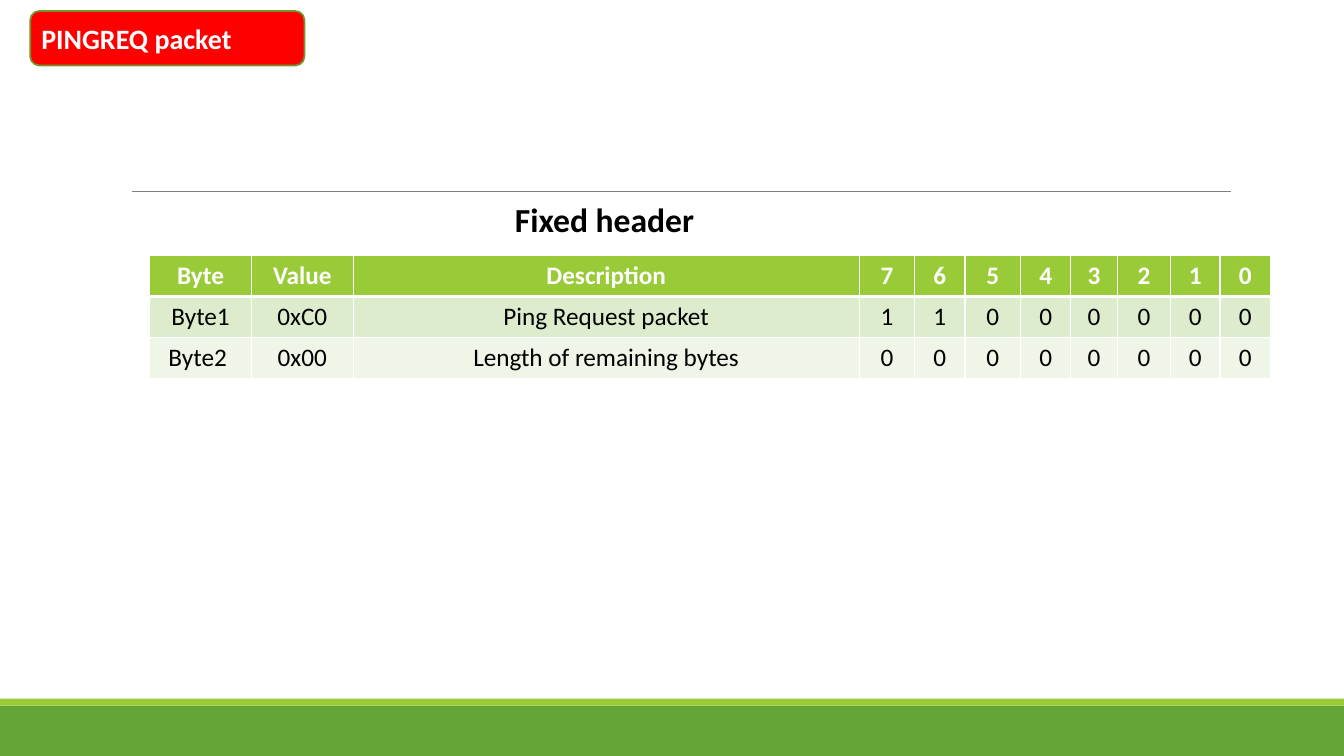
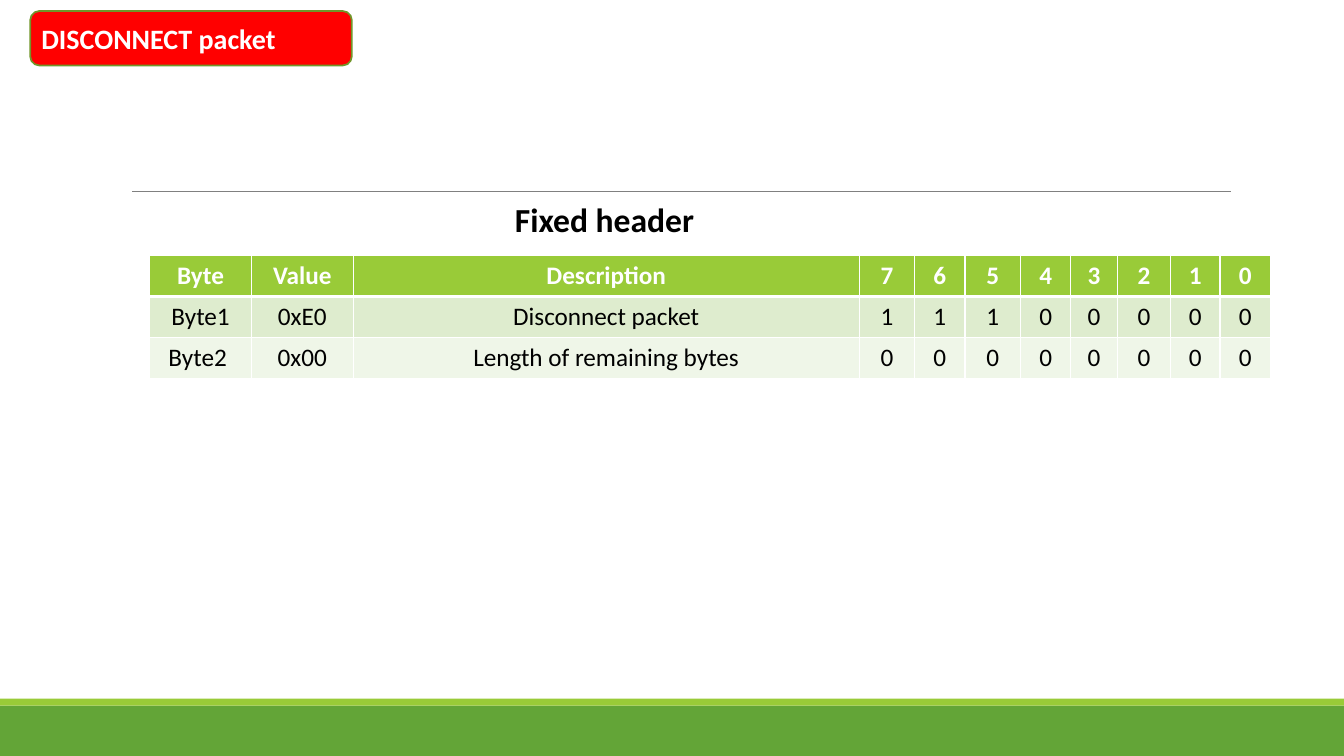
"""Build two slides that show the fixed headers of MQTT control packets."""
from dataclasses import dataclass

from lxml import etree
from pptx import Presentation
from pptx.dml.color import RGBColor
from pptx.enum.shapes import MSO_CONNECTOR, MSO_SHAPE
from pptx.enum.text import MSO_ANCHOR, MSO_AUTO_SIZE, PP_ALIGN
from pptx.oxml.ns import qn
from pptx.util import Pt

RECTANGLE = MSO_SHAPE.RECTANGLE
ROUNDED = MSO_SHAPE.ROUNDED_RECTANGLE
STRAIGHT = MSO_CONNECTOR.STRAIGHT
LEFT, CENTER = PP_ALIGN.LEFT, PP_ALIGN.CENTER
TOP = MSO_ANCHOR.TOP
NO_AUTOFIT = MSO_AUTO_SIZE.NONE
TITLE_ONLY = 5


@dataclass(frozen=True)
class Theme:
    """Colours, font and type sizes of the deck."""
    font: str = "Calibri"
    white: str = "FFFFFF"
    black: str = "000000"
    band: str = "63A537"
    accent: str = "99CB38"
    rule: str = "808080"
    badge: str = "FF0000"
    badge_line: str = "719629"
    row_fills: tuple = ("99CB38", "DEECCE", "EFF6E8")
    title_size: int = 20
    caption_size: int = 24
    table_size: int = 18


THEME = Theme()
WIDTH, HEIGHT = 960, 540
ROW_HEIGHT = 29.28
COLUMN_WIDTHS = (72.72, 72.72, 361.44, 39.6, 36, 39.6, 36, 33.12, 38.16, 35.28, 36)
HEADINGS = ["Byte", "Value", "Description", *"76543210"]
PACKETS = (
    ("PINGREQ packet", 195.84, 0xC0, "Ping Request packet"),
    ("DISCONNECT packet", 229.68, 0xE0, "Disconnect packet"),
)


def colour(code):
    """Turn a hex code into a colour."""
    return RGBColor.from_string(code)


def write(frame, text, size, code, bold=False, align=LEFT):
    """Put one formatted run into the first paragraph of a frame."""
    para = frame.paragraphs[0]
    para.alignment = align
    span = para.add_run()
    span.text = text
    span.font.name = THEME.font
    span.font.size = Pt(size)
    span.font.bold = bold
    span.font.color.rgb = colour(code)


def add_panel(page, kind, left, top, width, height, fill, line=None):
    """Add a filled shape without a shadow."""
    panel = page.shapes.add_shape(kind, Pt(left), Pt(top), Pt(width), Pt(height))
    panel.shadow.inherit = False
    panel.fill.solid()
    panel.fill.fore_color.rgb = colour(fill)
    if line:
        panel.line.color.rgb = colour(line)
        panel.line.width = Pt(1.25)
    else:
        panel.line.fill.background()
    return panel


def add_rule(page, left, right, top):
    """Add a thin horizontal line."""
    rule = page.shapes.add_connector(STRAIGHT, Pt(left), Pt(top), Pt(right), Pt(top))
    rule.line.color.rgb = colour(THEME.rule)
    rule.line.width = Pt(0.5)
    etree.SubElement(rule.element.spPr, qn("a:effectLst"))
    return rule


def furnish_layout(layout, page):
    """Draw the bands and the rule, then move them to the shared layout."""
    furniture = (
        add_panel(page, RECTANGLE, 0, 504, WIDTH, 36, THEME.band),
        add_panel(page, RECTANGLE, 0, 499, WIDTH, 5, THEME.accent),
        add_rule(page, 94.32, 879.12, 136.8),
    )
    for number, item in enumerate(furniture, start=101):
        item.element.xpath(".//p:cNvPr")[0].set("id", str(number))
        layout.shapes.element.append(item.element)


def add_title(page, text, width):
    """Place the title on its red badge."""
    add_panel(page, ROUNDED, 21.6, 7.92, width, 38.88, THEME.badge, THEME.badge_line)
    title = page.shapes.title
    title.left, title.top, title.width, title.height = Pt(22.32), Pt(11.52), Pt(width), Pt(31.68)
    frame = title.text_frame
    frame.auto_size = NO_AUTOFIT
    frame.vertical_anchor = TOP
    frame.word_wrap = True
    write(frame, text, THEME.title_size, THEME.white, bold=True)
    page.shapes.element.append(title.element)


def add_caption(page, text):
    """Add the heading above the table."""
    box = page.shapes.add_textbox(Pt(360.72), Pt(138.24), Pt(169.2), Pt(36))
    box.text_frame.word_wrap = True
    write(box.text_frame, text, THEME.caption_size, THEME.black, bold=True)


def set_borders(cell, top, bottom):
    """Give a cell white borders."""
    properties = cell._tc.get_or_add_tcPr()
    for side, width in (("L", 1), ("R", 1), ("T", top), ("B", bottom)):
        border = etree.SubElement(properties, qn(f"a:ln{side}"), w=str(Pt(width)))
        fill = etree.SubElement(border, qn("a:solidFill"))
        etree.SubElement(fill, qn("a:srgbClr"), val=THEME.white)


def byte_row(name, value, description):
    """Return the table row of one byte, with its bits."""
    return [name, f"0x{value:02X}", description, *f"{value:08b}"]


def add_header_table(page, rows):
    """Add the table of header bytes."""
    table = page.shapes.add_table(
        len(rows), len(COLUMN_WIDTHS), Pt(106.9), Pt(182.5),
        Pt(sum(COLUMN_WIDTHS)), Pt(ROW_HEIGHT * len(rows))).table
    for column, width in zip(table.columns, COLUMN_WIDTHS):
        column.width = Pt(width)
    for index, (row, texts) in enumerate(zip(table.rows, rows)):
        row.height = Pt(ROW_HEIGHT)
        heading = index == 0
        for cell, text in zip(row.cells, texts):
            set_borders(cell, 3 if index == 1 else 1, 3 if heading else 1)
            cell.fill.solid()
            cell.fill.fore_color.rgb = colour(THEME.row_fills[index])
            write(cell.text_frame, text, THEME.table_size,
                  THEME.white if heading else THEME.black, heading, CENTER)


def main():
    """Build and save the deck."""
    deck = Presentation()
    deck.slide_width, deck.slide_height = Pt(WIDTH), Pt(HEIGHT)
    layout = deck.slide_layouts[TITLE_ONLY]
    pages = [deck.slides.add_slide(layout) for _ in PACKETS]
    furnish_layout(layout, pages[0])
    for page, (title, width, value, description) in zip(pages, PACKETS):
        add_title(page, title, width)
        add_header_table(page, [
            HEADINGS,
            byte_row("Byte1", value, description),
            byte_row("Byte2 ", 0, "Length of remaining bytes"),
        ])
        add_caption(page, "Fixed header")
    deck.save("out.pptx")


main()
